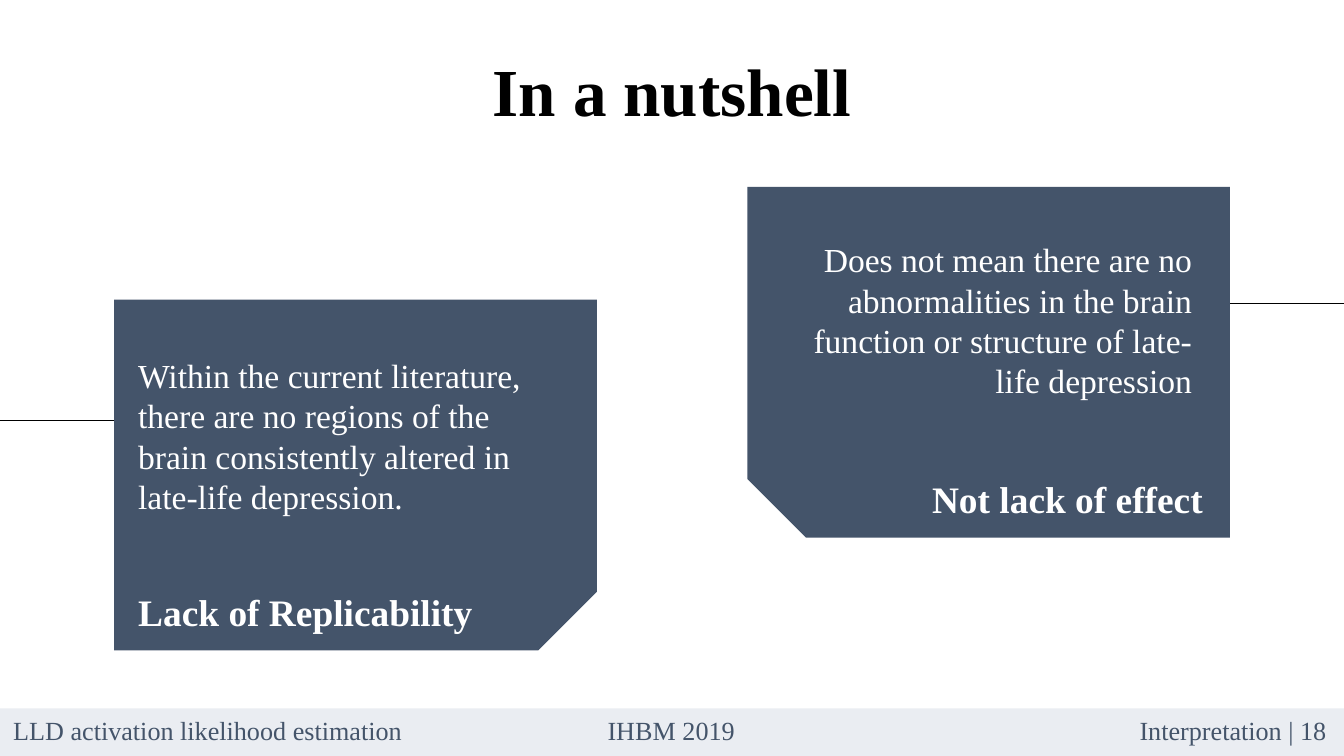
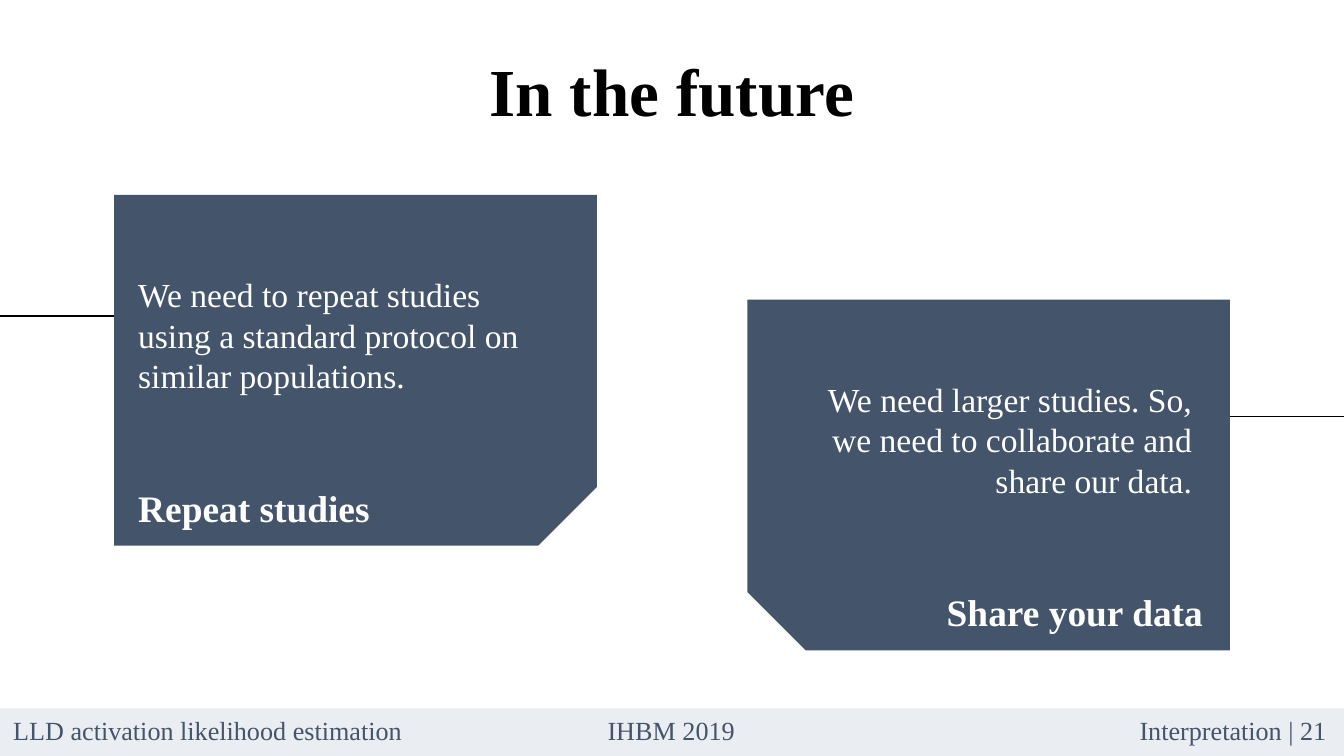
from dataclasses import dataclass

from lxml import etree
from pptx import Presentation
from pptx.dml.color import RGBColor
from pptx.enum.shapes import MSO_CONNECTOR as Connector, MSO_SHAPE as Shape
from pptx.enum.text import MSO_ANCHOR as Anchor, MSO_AUTO_SIZE as AutoSize, PP_ALIGN as Align
from pptx.oxml.ns import qn
from pptx.util import Inches, Pt


class Theme:
    font = "Times New Roman"
    black = RGBColor.from_string("000000")
    white = RGBColor.from_string("FFFFFF")
    slate = RGBColor.from_string("44546A")
    mist = RGBColor.from_string("EAEDF2")
    title_size, heading_size, body_size, footer_size = 36, 20, 18, 14


PAGE_WIDTH = 10
PAGE_HEIGHT = PAGE_WIDTH * 9 / 16
CARD_WIDTH, CARD_HEIGHT = 3.59, 2.61
FOOTER_TOP = 5.27


@dataclass
class Side:
    """Where a card sits across the page; offsets count from the card's corner."""
    card_left: float
    rotation: int
    mirrored: bool
    align: Align
    body_left: float
    heading_left: float
    heading_width: float
    line_drop: float
    line_from: float
    line_to: float


LEFT = Side(0.85, 90, False, Align.LEFT, 0.08, 0.08, 3.52, 0.9, 2.65, -0.02)
RIGHT = Side(5.56, 270, True, Align.RIGHT, 0.27, 0.7, 2.79, 0.87, 7.31, 10.14)


@dataclass
class Card:
    side: Side
    top: float
    body_drop: float
    body_height: float
    heading: str
    body: str


def inches(*lengths):
    return [Inches(length) for length in lengths]


def write(shape, text, size, color, align, bold=False, anchor=Anchor.TOP, inset=0.1):
    frame = shape.text_frame
    frame.word_wrap = True
    frame.auto_size = AutoSize.NONE
    frame.vertical_anchor = anchor
    frame.margin_left = frame.margin_right = Inches(0.1)
    frame.margin_top = frame.margin_bottom = Inches(inset)
    para = frame.paragraphs[0]
    para.text = text
    para.alignment = align
    font = para.font
    font.name, font.size, font.bold = Theme.font, Pt(size), bold
    font.color.rgb = color


def add_filled(shapes, kind, box, color):
    shape = shapes.add_shape(kind, *inches(*box))
    shape.shadow.inherit = False
    shape.fill.solid()
    shape.fill.fore_color.rgb = color
    shape.line.fill.background()
    return shape


def add_title(page, text):
    title = page.shapes.title
    title.left, title.top, title.width, title.height = inches(2.15, 0.27, 5.7, 1.03)
    write(title, text, Theme.title_size, Theme.black, Align.CENTER, bold=True)


def add_card(page, card):
    side = card.side
    line_y = card.top + side.line_drop
    line = page.shapes.add_connector(
        Connector.STRAIGHT, *inches(side.line_from, line_y, side.line_to, line_y))
    line.line.color.rgb = Theme.black
    line.line.width = Pt(0.75)
    etree.SubElement(line._element.spPr, qn("a:effectLst"))

    # The panel is turned a quarter, so its upright box shares only the centre.
    shift = (CARD_WIDTH - CARD_HEIGHT) / 2
    panel = add_filled(
        page.shapes, Shape.SNIP_1_RECTANGLE,
        (side.card_left + shift, card.top - shift, CARD_HEIGHT, CARD_WIDTH), Theme.slate)
    panel.rotation = side.rotation
    panel.adjustments[0] = 0.167
    if side.mirrored:
        panel._element.spPr.find(qn("a:xfrm")).set("flipH", "1")

    body = page.shapes.add_textbox(
        *inches(side.card_left + side.body_left, card.top + card.body_drop,
                3.14, card.body_height))
    write(body, card.body, Theme.body_size, Theme.white, side.align)
    heading = page.shapes.add_textbox(
        *inches(side.card_left + side.heading_left, card.top + 2.12,
                side.heading_width, 0.47))
    write(heading, card.heading, Theme.heading_size, Theme.white, side.align,
          bold=True, anchor=Anchor.BOTTOM)


def add_footer(page, number):
    shapes = page.shapes.add_group_shape().shapes
    add_filled(shapes, Shape.RECTANGLE, (0, FOOTER_TOP, PAGE_WIDTH, 0.38), Theme.mist)
    for left, width, align, text in (
        (8.14, 1.83, Align.RIGHT, f"Interpretation | {number}"),
        (4.08, 1.83, Align.CENTER, "IHBM 2019"),
        (0, 3.21, Align.LEFT, "LLD activation likelihood estimation"),
    ):
        label = shapes.add_textbox(*inches(left, FOOTER_TOP, width, 0.34))
        write(label, text, Theme.footer_size, Theme.slate, align, inset=0.05)


def add_page(deck, title, number, cards):
    page = deck.slides.add_slide(deck.slide_layouts[5])
    add_title(page, title)
    for card in cards:
        add_card(page, card)
    add_footer(page, number)


def main():
    deck = Presentation()
    deck.slide_width, deck.slide_height = inches(PAGE_WIDTH, PAGE_HEIGHT)
    add_page(deck, "In a nutshell", 18, [
        Card(RIGHT, 1.39, 0.29, 1.1, "Not lack of effect",
             "Does not mean there are no abnormalities in the brain function "
             "or structure of late-life depression"),
        Card(LEFT, 2.23, 0.31, 1.33, "Lack of Replicability",
             "Within the current literature, there are no regions of the brain "
             "consistently altered in late-life depression."),
    ])
    add_page(deck, "In the future", 21, [
        Card(RIGHT, 2.23, 0.49, 1.32, "Share your data",
             "We need larger studies. So, we need to collaborate and share our data."),
        Card(LEFT, 1.45, 0.49, 1.33, "Repeat studies",
             "We need to repeat studies using a standard protocol on similar populations."),
    ])
    deck.save("out.pptx")


if __name__ == "__main__":
    main()
